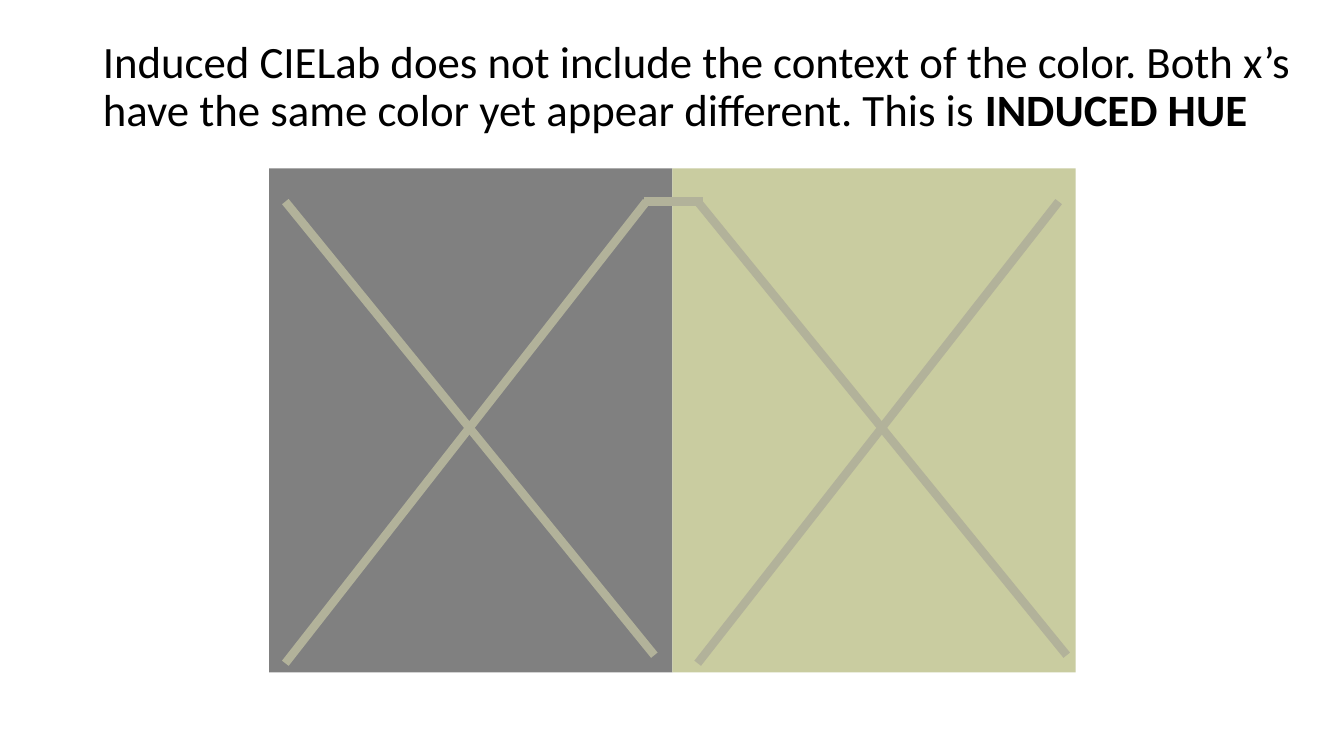
from pptx import Presentation
from pptx.dml.color import RGBColor
from pptx.enum import shapes, text
from pptx.oxml.ns import qn
from pptx.util import Inches, Pt
from lxml import etree

BLACK = RGBColor(0x00, 0x00, 0x00)
GRAY = RGBColor(0x80, 0x80, 0x80)
OLIVE = RGBColor(0xC9, 0xCC, 0xA0)
STROKE = RGBColor(0xB2, 0xB2, 0x9A)
FONT = {"name": "Calibri", "size": Pt(32)}


def add_title(slide, left, top, width, height, parts):
    """Fill the title from (wording, bold) parts."""
    title = slide.shapes.title
    box = {"left": left, "top": top, "width": width, "height": height}
    for key, value in box.items():
        setattr(title, key, Inches(value))
    frame = title.text_frame
    frame.word_wrap = True
    frame.auto_size = text.MSO_AUTO_SIZE.NONE
    frame.vertical_anchor = text.MSO_ANCHOR.MIDDLE
    para = frame.paragraphs[0]
    para.alignment = text.PP_ALIGN.LEFT
    para.line_spacing = 0.9
    for words, bold in parts:
        run = para.add_run()
        run.text = words
        for key, value in {**FONT, "bold": bold}.items():
            setattr(run.font, key, value)
        run.font.color.rgb = BLACK


def add_stroke(slide, x1, y1, x2, y2):
    line = slide.shapes.add_connector(
        shapes.MSO_CONNECTOR.STRAIGHT, *map(Inches, (x1, y1, x2, y2)))
    line.line.color.rgb = STROKE
    line.line.width = Pt(6)
    etree.SubElement(line._element.spPr, qn("a:effectLst"))


def add_field(slide, left, top, width, height, color):
    rect = slide.shapes.add_shape(
        shapes.MSO_SHAPE.RECTANGLE, *map(Inches, (left, top, width, height)))
    rect.shadow.inherit = False
    rect.fill.solid()
    rect.fill.fore_color.rgb = color
    rect.line.fill.background()


def add_cross(slide, left, top):
    """Draw an x from its top left corner."""
    add_stroke(slide, left, top + 4.58, left + 3.58, top)
    add_stroke(slide, left, top, left + 3.66, top + 4.5)


def add_demo(slide, left, top, width, height):
    """Two fields side by side, an x on each, and a bridge between."""
    half = width / 2
    for i, color in enumerate((GRAY, OLIVE)):
        add_field(slide, left + i * half, top, half, height, color)
    for inset in (0.16, half + 0.25):
        add_cross(slide, left + inset, top + 0.33)
    add_stroke(slide, left + 3.72, top + 0.33, left + 4.3, top + 0.33)


def main():
    deck = Presentation()
    deck.slide_width, deck.slide_height = Inches(13.33), Inches(7.5)
    slide = deck.slides.add_slide(deck.slide_layouts[5])
    add_title(slide, 0.92, 0.25, 12.22, 1.25, [
        ("Induced CIELab does not include the context of the color. "
         "Both x’s have the same color yet appear different. This is ", False),
        ("INDUCED HUE", True)])
    add_demo(slide, 2.67, 1.67, 8, 5)
    deck.save("out.pptx")


if __name__ == "__main__":
    main()
